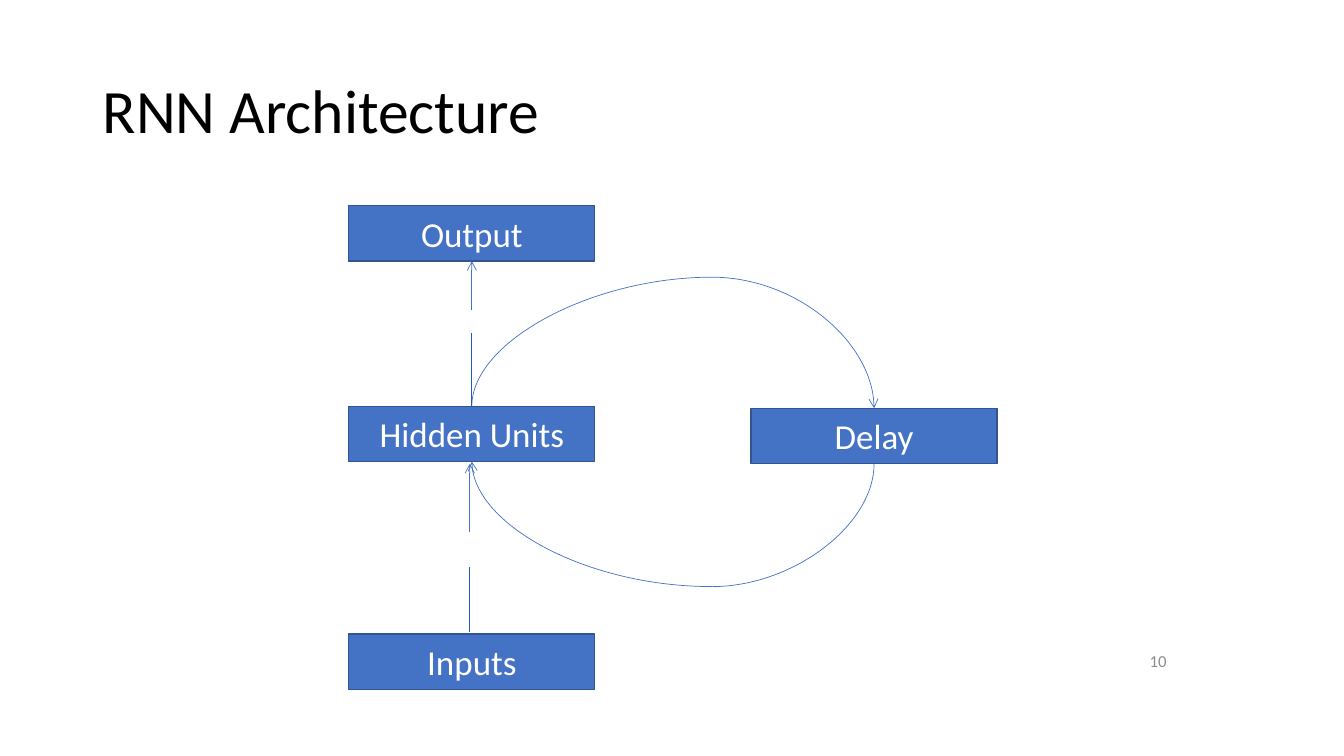
from pptx import Presentation
from pptx.dml.color import RGBColor
from pptx.enum.shapes import MSO_CONNECTOR, MSO_SHAPE
from pptx.enum.text import MSO_ANCHOR, PP_ALIGN
from pptx.oxml.ns import qn
from pptx.util import Inches, Pt
from lxml.etree import SubElement

BOX_W, BOX_H = 2.44, 0.55
BLUE, DARK_BLUE = "4472C4", "1F5AC3"


def color(value):
    return RGBColor.from_string(value)


def write(sp, text, size, hue, align):
    tf = sp.text_frame
    for name, value in {"word_wrap": True, "vertical_anchor": MSO_ANCHOR.MIDDLE}.items():
        setattr(tf, name, value)
    p = tf.paragraphs[0]
    p.alignment = align
    r = p.add_run()
    r.text = text
    for name, value in {"name": "Calibri", "size": Pt(size), "bold": False}.items():
        setattr(r.font, name, value)
    r.font.color.rgb = color(hue)
    return p


def add_title(s, text, x, y, w, h):
    sp = s.shapes.title
    for name, value in {"left": x, "top": y, "width": w, "height": h}.items():
        setattr(sp, name, Inches(value))
    write(sp, text, 44, "000000", PP_ALIGN.LEFT).line_spacing = 0.9


def add_page_number(s, text, x, y, w, h):
    sp = s.shapes.add_textbox(*map(Inches, (x, y, w, h)))
    write(sp, text, 12, "8C8C8C", PP_ALIGN.RIGHT)


def add_unit(s, text, x, y):
    sp = s.shapes.add_shape(MSO_SHAPE.RECTANGLE, *map(Inches, (x, y, BOX_W, BOX_H)))
    sp.shadow.inherit = False
    sp.fill.solid()
    sp.fill.fore_color.rgb = color(BLUE)
    sp.line.color.rgb = color("325491")
    sp.line.width = Pt(1)
    write(sp, text, 25, "FFFFFF", PP_ALIGN.CENTER)


def add_link(s, start, end, arrow=False, curved=False, hue=BLUE):
    kind = MSO_CONNECTOR.CURVE if curved else MSO_CONNECTOR.STRAIGHT
    sp = s.shapes.add_connector(kind, *map(Inches, (*start, *end)))
    sp.line.color.rgb = color(hue)
    sp.line.width = Pt(0.5)
    props = sp._element.spPr
    if curved:  # quarter turn: leaves sideways, arrives upright
        props.find(qn("a:prstGeom")).set("prst", "curvedConnector2")
    if arrow:
        SubElement(props.find(qn("a:ln")), qn("a:tailEnd"), type="arrow")
    SubElement(props, qn("a:effectLst"))


def add_network(s, x, y):
    output_y, hidden_y, inputs_y = y, y + 1.99, y + 4.25
    delay_x, delay_y = x + 3.99, y + 2.01
    mid, delay_mid = x + BOX_W / 2, delay_x + BOX_W / 2
    turn_x = x + 3.6
    hidden_end, delay_end = hidden_y + BOX_H, delay_y + BOX_H

    # Units
    for text, left, top in (("Output", x, output_y), ("Delay", delay_x, delay_y),
                            ("Hidden Units", x, hidden_y), ("Inputs", x, inputs_y)):
        add_unit(s, text, left, top)

    # Feedback loop: each half meets at its turning point
    for turn_y, hidden_edge, delay_edge, into_hidden in (
            (y + 0.71, hidden_y, delay_y, False),
            (y + 3.78, hidden_end, delay_end, True)):
        turn = (turn_x, turn_y)
        add_link(s, turn, (mid, hidden_edge), into_hidden, curved=True)
        add_link(s, turn, (delay_mid, delay_edge), not into_hidden, curved=True)

    # Broken upward arrows: lower stub, gap, upper arrow
    for link_x, low, gap_low, gap_high, high in (
            (mid, hidden_y, y + 1.26, y + 1.04, output_y + BOX_H),
            (mid - 0.02, inputs_y - 0.02, y + 3.59, y + 3.24, hidden_end + 0.02)):
        add_link(s, (link_x, low), (link_x, gap_low), hue=DARK_BLUE)
        add_link(s, (link_x, gap_high), (link_x, high), arrow=True)


def main():
    prs = Presentation()
    prs.slide_width, prs.slide_height = Inches(13.33), Inches(7.5)
    s = prs.slides.add_slide(prs.slide_layouts[5])
    add_title(s, "RNN Architecture", 0.92, 0.4, 11.5, 1.45)
    add_page_number(s, "10", 11, 6.27, 0.67, 0.57)
    add_network(s, 3.46, 2.04)
    prs.save("out.pptx")


if __name__ == "__main__":
    main()
